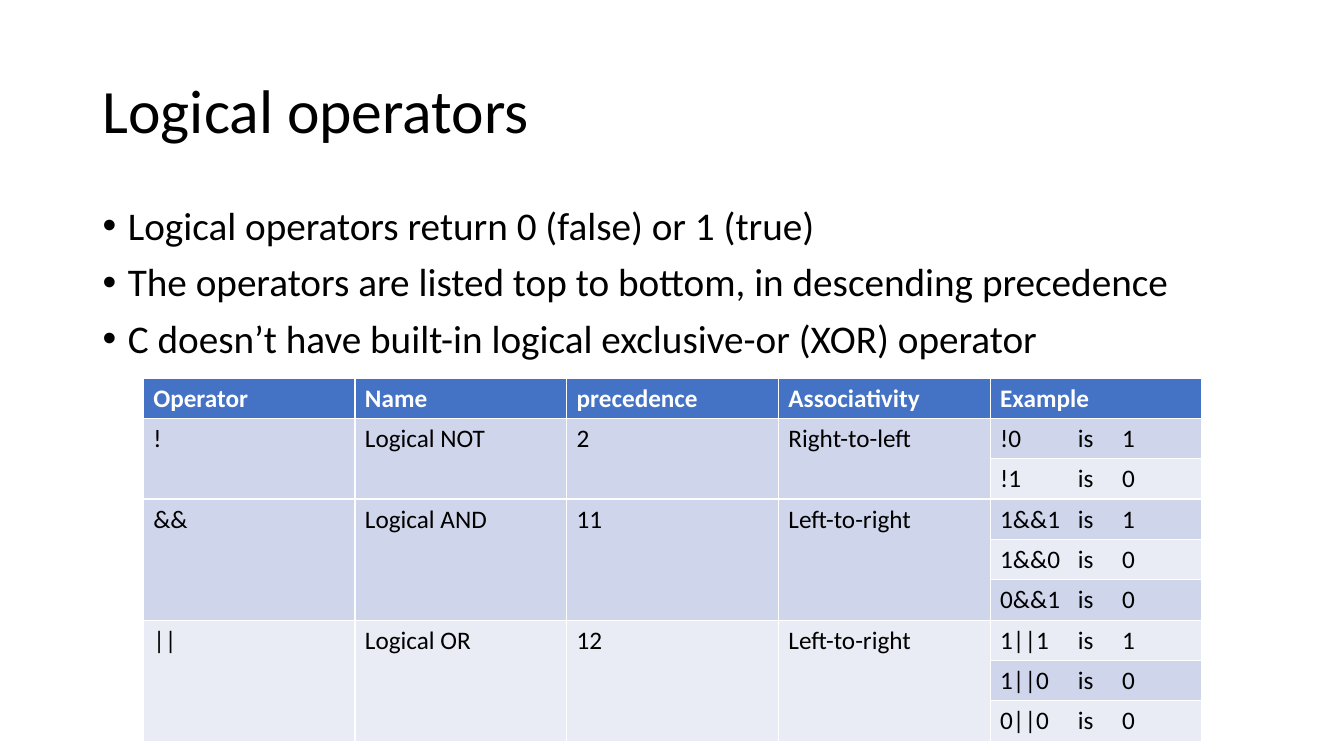
from dataclasses import dataclass

from lxml.etree import SubElement
from pptx import Presentation
from pptx.dml.color import RGBColor
from pptx.enum.text import MSO_ANCHOR as Anchor
from pptx.oxml.ns import qn
from pptx.slide import Slide
from pptx.table import _Cell as Cell
from pptx.text.text import TextFrame, _Paragraph as Paragraph
from pptx.util import Inches, Pt

COLORS = {"text": "000000", "header_text": "FFFFFF", "header": "4472C4",
          "odd_row": "CFD5EA", "even_row": "E9EBF5"}
FONT = "Calibri"
HEADINGS = ("Operator", "Name", "precedence", "Associativity", "Example")
COLUMN_WIDTH = Inches(2.1)
ROW_HEIGHT = Inches(0.4)
EXAMPLE_TABS = (Inches(0.77), Inches(1.21))
BULLET_INDENT = Inches(0.25)


@dataclass(frozen=True)
class Operator:
    """A logical operator with its (expression, result) examples."""
    symbol: str
    name: str
    precedence: int
    associativity: str
    examples: tuple[tuple[str, int], ...]


@dataclass(frozen=True)
class TextBlock:
    """A text area of the slide; positions are in inches."""
    lines: tuple[str, ...]
    top: float
    height: float
    size: int
    anchor: Anchor
    bulleted: bool = False


OPERATORS = (
    Operator("!", "Logical NOT", 2, "Right-to-left", (("!0", 1), ("!1", 0))),
    Operator("&&", "Logical AND", 11, "Left-to-right",
             (("1&&1", 1), ("1&&0", 0), ("0&&1", 0))),
    Operator("||", "Logical OR", 12, "Left-to-right",
             (("1||1", 1), ("1||0", 0), ("0||0", 0))),
)
TITLE = TextBlock(("Logical operators",), 0.4, 1.45, 44, Anchor.MIDDLE)
FACTS = TextBlock((
    "Logical operators return 0 (false) or 1 (true)",
    "The operators are listed top to bottom, in descending precedence",
    "C doesn\u2019t have built-in logical exclusive-or (XOR) operator",
), 2, 4.76, 28, Anchor.TOP, bulleted=True)


def format_runs(frame: TextFrame, size: int, color: str, bold: bool = False) -> None:
    """Apply one font to all runs of a text frame."""
    for paragraph in frame.paragraphs:
        for run in paragraph.runs:
            run.font.name = FONT
            run.font.size = Pt(size)
            run.font.bold = bold
            run.font.color.rgb = RGBColor.from_string(COLORS[color])


def add_bullet(paragraph: Paragraph) -> None:
    """Give a paragraph a hanging round bullet."""
    paragraph.space_before = Pt(10)
    properties = paragraph._p.get_or_add_pPr()
    properties.set("marL", str(BULLET_INDENT))
    properties.set("indent", str(-BULLET_INDENT))
    SubElement(properties, qn("a:buFont"), typeface="Arial")
    SubElement(properties, qn("a:buChar"), char="\u2022")


def add_tabs(paragraph: Paragraph) -> None:
    """Align the parts of an example at tab stops."""
    tabs = SubElement(paragraph._p.get_or_add_pPr(), qn("a:tabLst"))
    for position in EXAMPLE_TABS:
        SubElement(tabs, qn("a:tab"), pos=str(position), algn="l")


def add_text(slide: Slide, block: TextBlock) -> None:
    """Draw a text block across the content width."""
    frame = slide.shapes.add_textbox(Inches(0.92), Inches(block.top),
                                     Inches(11.5), Inches(block.height)).text_frame
    frame.word_wrap = True
    frame.vertical_anchor = block.anchor
    frame.text = "\n".join(block.lines)
    for paragraph in frame.paragraphs:
        paragraph.line_spacing = 0.9
        if block.bulleted:
            add_bullet(paragraph)
    format_runs(frame, block.size, "text")


def fill_cell(cell: Cell, text: str, row: int) -> None:
    """Write a cell and colour it by its row."""
    is_header = row == 0
    fill = "header" if is_header else "odd_row" if row % 2 else "even_row"
    cell.fill.solid()
    cell.fill.fore_color.rgb = RGBColor.from_string(COLORS[fill])
    cell.text_frame.text = text
    format_runs(cell.text_frame, 18, "header_text" if is_header else "text", is_header)


def add_operator_table(slide: Slide) -> None:
    """Draw the operators, each spanning the rows of its examples."""
    row_count = 1 + sum(len(operator.examples) for operator in OPERATORS)
    example_column = len(HEADINGS) - 1
    table = slide.shapes.add_table(
        row_count, len(HEADINGS), Inches(1.42), Inches(3.75),
        COLUMN_WIDTH * len(HEADINGS), ROW_HEIGHT * row_count).table
    for column, heading in enumerate(HEADINGS):
        fill_cell(table.cell(0, column), heading, 0)

    first_row = 1
    for operator in OPERATORS:
        last_row = first_row + len(operator.examples) - 1
        details = (operator.symbol, operator.name,
                   str(operator.precedence), operator.associativity)
        for column, detail in enumerate(details):
            table.cell(first_row, column).merge(table.cell(last_row, column))
            fill_cell(table.cell(first_row, column), detail, first_row)
        for row, (expression, result) in enumerate(operator.examples, first_row):
            example = table.cell(row, example_column)
            fill_cell(example, f"{expression}\tis\t{result}", row)
            add_tabs(example.text_frame.paragraphs[0])
        first_row = last_row + 1


def main() -> None:
    """Build and save the slide."""
    deck = Presentation()
    deck.slide_width, deck.slide_height = Inches(13.33), Inches(7.5)
    slide = deck.slides.add_slide(deck.slide_layouts[6])
    for block in (TITLE, FACTS):
        add_text(slide, block)
    add_operator_table(slide)
    deck.save("out.pptx")


main()
